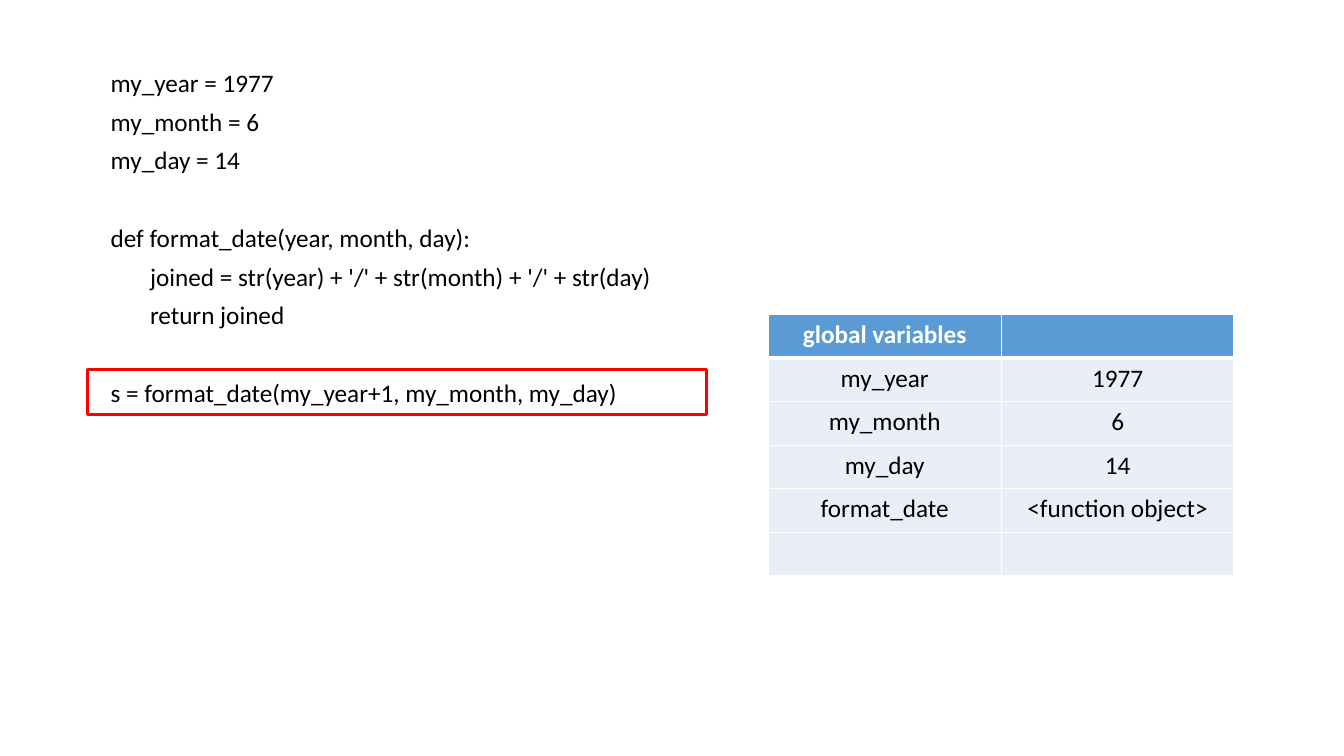
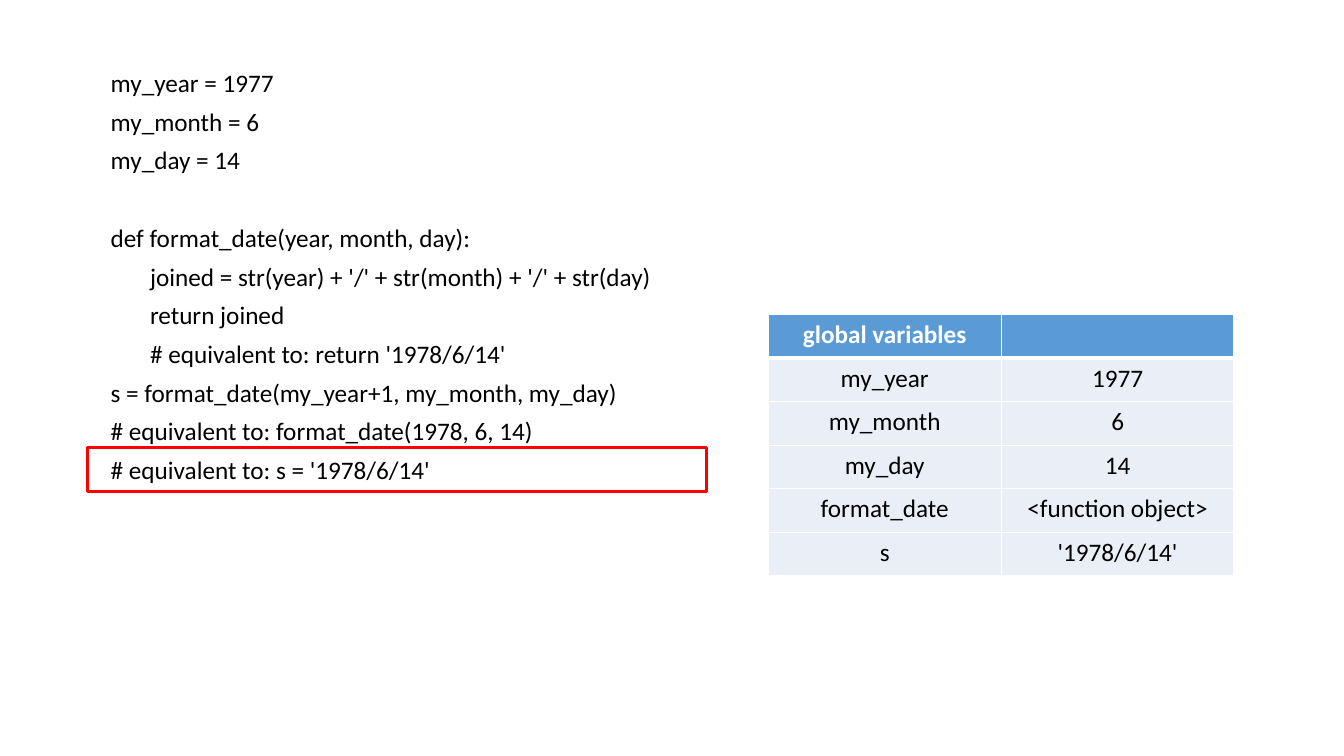
from lxml import etree
from pptx import Presentation, util as u
from pptx.dml.color import RGBColor
from pptx.enum import shapes, text
from pptx.oxml.ns import qn

COLORS = {"ink": "000000", "paper": "FFFFFF", "header": "5B9BD5", "body": "EAEFF7", "focus": "FF0000"}
FONT, SIZE = "Calibri", 18
PITCH, CODE_TOP = 0.385, 0.62
COLUMN, ROW = 2.31, 0.432
INDENT = 0.39

setup = ["my_year = 1977", "my_month = 6", "my_day = 14", "",
         "def format_date(year, month, day):",
         "\tjoined = str(year) + '/' + str(month) + '/' + str(day)",
         "\treturn joined"]
call = "s = format_date(my_year+1, my_month, my_day)"
variables = [("global variables", ""), ("my_year", "1977"), ("my_month", "6"),
             ("my_day", "14"), ("format_date", "<function object>")]
steps = [
    (setup + ["", call], ("", "")),
    (setup + ["\t# equivalent to: return '1978/6/14'", call,
              "# equivalent to: format_date(1978, 6, 14)",
              "# equivalent to: s = '1978/6/14'"], ("s", "'1978/6/14'")),
]


def write(paragraph, words, color, bold=False):
    run = paragraph.add_run()
    run.text = words
    run.font.name, run.font.size, run.font.bold = FONT, u.Pt(SIZE), bold
    run.font.color.rgb = RGBColor.from_string(COLORS[color])


def border(cell, widths):
    props = cell._tc.get_or_add_tcPr()
    for position, (side, width) in enumerate(widths.items()):
        line = etree.Element(qn("a:ln" + side), w=str(u.Pt(width)))
        fill = etree.SubElement(line, qn("a:solidFill"))
        etree.SubElement(fill, qn("a:srgbClr"), val=COLORS["paper"])
        props.insert(position, line)


deck = Presentation()
deck.slide_width, deck.slide_height = u.Inches(13.33), u.Inches(7.5)

for code, result in steps:
    slide = deck.slides.add_slide(deck.slide_layouts[6])

    listing = slide.shapes.add_textbox(u.Inches(1), u.Inches(CODE_TOP), u.Inches(5.64),
                                       u.Inches(len(code) * PITCH + 0.1)).text_frame
    listing.word_wrap = False
    paragraph = listing.paragraphs[0]
    for number, statement in enumerate(code):
        if not statement:
            continue
        if number:
            paragraph = listing.add_paragraph()
        paragraph.space_after = u.Pt(6)
        if number and not code[number - 1]:
            paragraph.space_before = u.Inches(PITCH)
        if statement.startswith("\t"):
            paragraph._p.get_or_add_pPr().set("marL", str(u.Inches(INDENT)))
        write(paragraph, statement.strip(), "ink")

    entries = variables + [result]
    table = slide.shapes.add_table(len(entries), 2, u.Inches(7.62), u.Inches(3.12),
                                   u.Inches(2 * COLUMN), u.Inches(len(entries) * ROW)).table
    for r, entry in enumerate(entries):
        for c, words in enumerate(entry):
            cell = table.cell(r, c)
            cell.fill.solid()
            cell.fill.fore_color.rgb = RGBColor.from_string(COLORS["body" if r else "header"])
            border(cell, {"L": 1, "R": 1, "T": 3 if r == 1 else 1, "B": 1 if r else 3})
            paragraph = cell.text_frame.paragraphs[0]
            paragraph.alignment = text.PP_ALIGN.CENTER
            if words:
                write(paragraph, words, "ink" if r else "paper", bold=r == 0)

    current_line = slide.shapes.add_shape(
        shapes.MSO_SHAPE.RECTANGLE, u.Inches(0.87),
        u.Inches(CODE_TOP - 0.03 + (len(code) - 1) * PITCH), u.Inches(6.14), u.Inches(0.44))
    current_line.shadow.inherit = False
    current_line.fill.background()
    current_line.line.color.rgb = RGBColor.from_string(COLORS["focus"])
    current_line.line.width = u.Pt(2)

deck.save("out.pptx")
